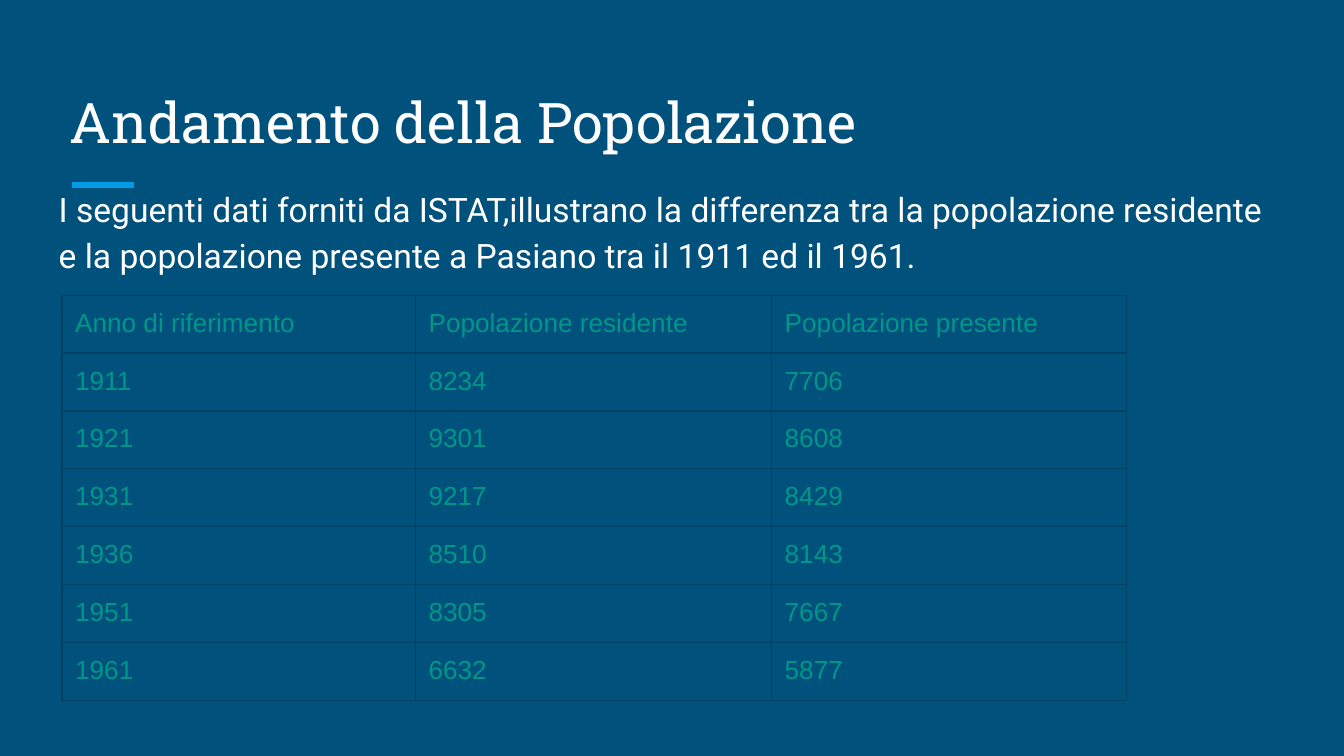
from lxml import etree
from pptx import Presentation
from pptx.dml.color import RGBColor
from pptx.enum.shapes import MSO_CONNECTOR
from pptx.enum.text import MSO_ANCHOR
from pptx.oxml.ns import qn
from pptx.util import Cm, Pt

STRAIGHT = MSO_CONNECTOR.STRAIGHT
TOP, BOTTOM = MSO_ANCHOR.TOP, MSO_ANCHOR.BOTTOM

# Content
TITLE = "Andamento della Popolazione"
INTRO = (
    "I seguenti dati forniti da ISTAT,illustrano la differenza tra la popolazione "
    "residente e la popolazione presente a Pasiano tra il 1911 ed il 1961."
)
POPULATION = [
    ("Anno di riferimento", "Popolazione residente", "Popolazione presente"),
    ("1911", "8234", "7706"),
    ("1921", "9301", "8608"),
    ("1931", "9217", "8429"),
    ("1936", "8510", "8143"),
    ("1951", "8305", "7667"),
    ("1961", "6632", "5877"),
]

# Format, lengths in centimetres
BACKGROUND, WHITE, ACCENT = "00517C", "FFFFFF", "039BE5"
TABLE_TEXT, TABLE_BORDER = "009688", "004065"
INSET = 0.25
TABLE_LEFT, TABLE_TOP = 1.17, 5.58
COLUMN_WIDTHS = (6.68, 6.73, 6.71)
ROW_HEIGHT = 1.06


def color(value):
    return RGBColor.from_string(value)


def write_text(frame, text, *, font, size, fill, spacing=None, after=None):
    paragraph = frame.paragraphs[0]
    paragraph.line_spacing = spacing
    paragraph.space_after = after
    run = paragraph.add_run()
    run.text = text
    run.font.name = font
    run.font.size = Pt(size)
    run.font.color.rgb = color(fill)


def add_text_box(slide, box, text, *, anchor=TOP, **text_format):
    frame = slide.shapes.add_textbox(*map(Cm, box)).text_frame
    frame.word_wrap = True
    frame.vertical_anchor = anchor
    frame.margin_left = frame.margin_right = Cm(INSET)
    frame.margin_top = frame.margin_bottom = Cm(INSET)
    write_text(frame, text, **text_format)


def set_borders(cell, value, width):
    properties = cell._tc.get_or_add_tcPr()
    for side in ("lnL", "lnR", "lnT", "lnB"):
        line = etree.SubElement(properties, qn(f"a:{side}"), w=str(Pt(width)))
        fill = etree.SubElement(line, qn("a:solidFill"))
        etree.SubElement(fill, qn("a:srgbClr"), val=value)


def add_accent_line(slide, left, right, y):
    line = slide.shapes.add_connector(STRAIGHT, Cm(left), Cm(y), Cm(right), Cm(y))
    line.line.color.rgb = color(ACCENT)
    line.line.width = Pt(3)
    etree.SubElement(line._element.spPr, qn("a:effectLst"))


def add_population_table(slide):
    table = slide.shapes.add_table(
        len(POPULATION), len(COLUMN_WIDTHS), Cm(TABLE_LEFT), Cm(TABLE_TOP),
        Cm(sum(COLUMN_WIDTHS)), Cm(ROW_HEIGHT * len(POPULATION)),
    ).table
    table.first_row = table.horz_banding = False
    for column, width in zip(table.columns, COLUMN_WIDTHS):
        column.width = Cm(width)
    for row, values in zip(table.rows, POPULATION):
        row.height = Cm(ROW_HEIGHT)
        for cell, value in zip(row.cells, values):
            cell.margin_left = cell.margin_right = Cm(INSET)
            cell.margin_top = cell.margin_bottom = Cm(INSET)
            set_borders(cell, TABLE_BORDER, 0.75)
            cell.fill.background()
            write_text(cell.text_frame, value, font="Arial", size=14, fill=TABLE_TEXT)


def main():
    presentation = Presentation()
    presentation.slide_width, presentation.slide_height = Cm(25.4), Cm(14.29)
    slide = presentation.slides.add_slide(presentation.slide_layouts[6])
    slide.background.fill.solid()
    slide.background.fill.fore_color.rgb = color(BACKGROUND)

    # Heading and introduction
    add_accent_line(slide, 1.37, 2.54, 3.5)
    add_text_box(slide, (1.07, 1.27, 23.24, 1.9), TITLE, anchor=BOTTOM,
                 font="Roboto Slab", size=30, fill=WHITE)
    add_text_box(slide, (0.86, 3.2, 23.67, 2.39), INTRO, font="Roboto", size=18,
                 fill=WHITE, spacing=1.15, after=Pt(16))

    # Census figures
    add_population_table(slide)
    presentation.save("out.pptx")


if __name__ == "__main__":
    main()
